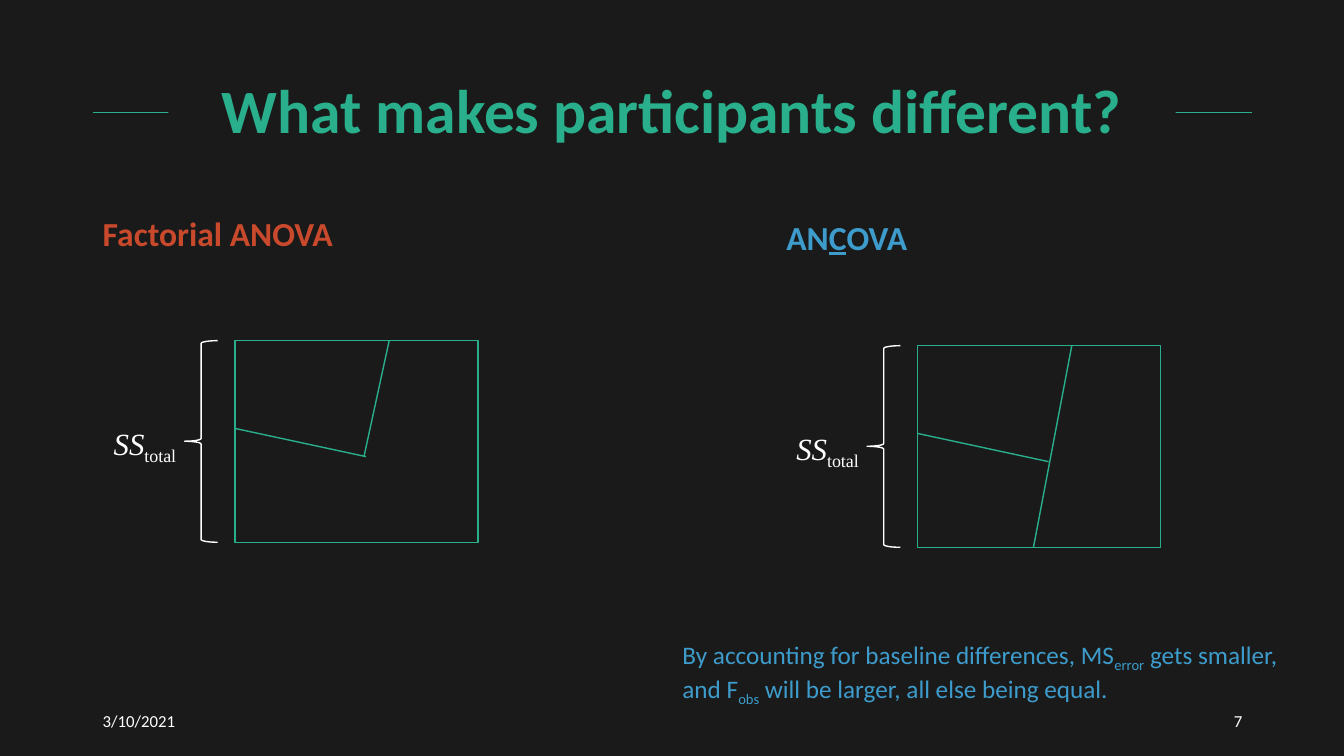
import pptx
import pptx.util
import pptx.dml.color
import pptx.enum.shapes
import pptx.enum.text
import pptx.oxml.ns
import lxml.etree

Inches = pptx.util.Inches
Pt = pptx.util.Pt
SHAPE = pptx.enum.shapes.MSO_SHAPE
ALIGN = pptx.enum.text.PP_ALIGN
ANCHOR = pptx.enum.text.MSO_ANCHOR

DARK = "1A1A1A"
GREEN = "29AF8C"
WHITE = "FFFFFF"
RED = "C9492C"
BLUE = "3D9CCC"
SUB = {"baseline": -25000}


def rgb(value):
    return pptx.dml.color.RGBColor.from_string(value)


def add_text(shapes, box, text, size=12, color=WHITE, font="Calibri", bold=False,
             italic=False, align=ALIGN.LEFT, anchor=ANCHOR.TOP, wrap=True,
             spacing=None, fill=None):
    sp = shapes.add_textbox(*map(Inches, box))
    if fill:
        sp.fill.solid()
        sp.fill.fore_color.rgb = rgb(fill)
    tf = sp.text_frame
    tf.word_wrap = wrap
    tf.vertical_anchor = anchor
    p = tf.paragraphs[0]
    p.alignment = align
    if spacing:
        p.line_spacing = spacing
    runs = [(text, {})] if isinstance(text, str) else text
    for content, style in runs:
        r = p.add_run()
        r.text = content
        r.font.name = font
        r.font.size = Pt(size)
        r.font.bold = bold
        r.font.italic = style.get("italic", italic)
        r.font.underline = style.get("underline", False)
        r.font.color.rgb = rgb(color)
        if "baseline" in style:
            r.font._element.set("baseline", str(style["baseline"]))
    return sp


def add_line(shapes, start, end, width=1):
    c = shapes.add_connector(pptx.enum.shapes.MSO_CONNECTOR.STRAIGHT,
                             *map(Inches, (*start, *end)))
    c.line.color.rgb = rgb(GREEN)
    c.line.width = Pt(width)
    lxml.etree.SubElement(c._element.spPr, pptx.oxml.ns.qn("a:effectLst"))
    return c


def add_outline(shapes, kind, box, color):
    sp = shapes.add_shape(kind, *map(Inches, box))
    sp.shadow.inherit = False
    sp.fill.background()
    sp.line.color.rgb = rgb(color)
    sp.line.width = Pt(1)
    return sp


def add_variance_diagram(s, x, y, divider_end):
    shapes = s.shapes.add_group_shape().shapes
    brace = add_outline(shapes, SHAPE.LEFT_BRACE, (x - 0.5, y, 0.33, 2), WHITE)
    brace.adjustments[0] = 0.083
    brace.adjustments[1] = 0.499
    add_text(shapes, (x - 1.3, y + 0.78, 1.2, 0.47),
             [("SS", {}), ("total", {"italic": False, **SUB})],
             size=22, font="Times New Roman", italic=True)
    add_outline(shapes, SHAPE.RECTANGLE, (x, y, 2.41, 2), GREEN)
    add_line(shapes, (x, y + 0.87), (x + 1.3, y + 1.15))
    add_line(shapes, (x + 1.53, y), (x + divider_end[0], y + divider_end[1]))


def main():
    prs = pptx.Presentation()
    prs.slide_width = Inches(13.33)
    prs.slide_height = Inches(7.5)
    s = prs.slides.add_slide(prs.slide_layouts[6])
    s.background.fill.solid()
    s.background.fill.fore_color.rgb = rgb(DARK)

    add_line(s.shapes, (0.92, 1.11), (12.42, 1.11), width=0.5)
    add_text(s.shapes, (1.67, 0.4, 9.99, 1.45), "What makes participants different?",
             size=44, color=GREEN, bold=True, align=ALIGN.CENTER,
             anchor=ANCHOR.MIDDLE, spacing=0.9, fill=DARK)

    add_variance_diagram(s, 2.33, 3.38, (1.28, 1.15))
    add_variance_diagram(s, 9.1, 3.43, (1.15, 2))

    add_text(s.shapes, (0.92, 2.06, 2.51, 0.5), "Factorial ANOVA",
             size=24, color=RED, bold=True, wrap=False)
    add_text(s.shapes, (7.7, 2.1, 1.41, 0.5),
             [("AN", {}), ("C", {"underline": True}), ("OVA", {})],
             size=24, color=BLUE, bold=True, wrap=False)
    add_text(s.shapes, (6.67, 6.29, 6.2, 0.71),
             [("By accounting for baseline differences, MS", {}), ("error", SUB),
              (" gets smaller, and F", {}), ("obs", SUB),
              (" will be larger, all else being equal.", {})],
             size=18, color=BLUE)

    add_text(s.shapes, (0.92, 6.95, 3, 0.4), "3/10/2021", anchor=ANCHOR.MIDDLE)
    add_text(s.shapes, (9.42, 6.95, 3, 0.4), "7", align=ALIGN.RIGHT,
             anchor=ANCHOR.MIDDLE)
    prs.save("out.pptx")


if __name__ == "__main__":
    main()
